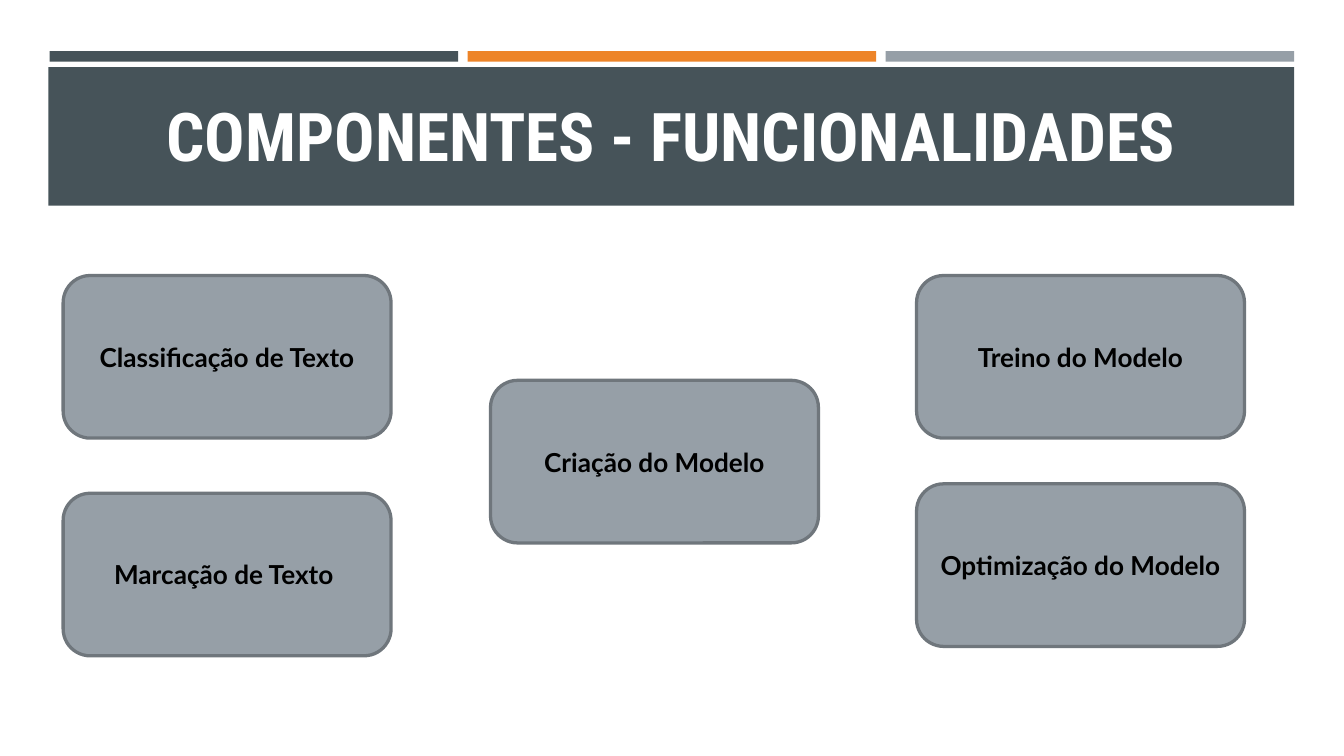
from pptx import Presentation
from pptx.dml.color import RGBColor
from pptx.enum.shapes import MSO_SHAPE
from pptx.enum.text import MSO_ANCHOR, PP_ALIGN
from pptx.util import Inches, Pt

SLATE, ORANGE, GREY = "465359", "ED8428", "969FA7"
OUTLINE, BLACK, WHITE = "6F767C", "000000", "FFFFFF"

BAR_LEFT, BAR_STEP, BAR_WIDTH = 0.37, 3.11, 3.04
BOX_WIDTH, BOX_HEIGHT = 2.44, 1.21
LEFT_COLUMN, MIDDLE_COLUMN, RIGHT_COLUMN = 0.47, 3.65, 6.82

COMPONENTS = [
    ("Classificação de Texto", LEFT_COLUMN, 2.05),
    ("Marcação de Texto ", LEFT_COLUMN, 3.67),
    ("Treino do Modelo", RIGHT_COLUMN, 2.05),
    ("Criação do Modelo", MIDDLE_COLUMN, 2.83),
    ("Optimização do Modelo", RIGHT_COLUMN, 3.6),
]


def color(value):
    return RGBColor.from_string(value)


def set_text(shape, text, font_name, size, font_color):
    """Write one bold line, centred both ways in the shape."""
    frame = shape.text_frame
    margins = dict.fromkeys(
        ("margin_left", "margin_top", "margin_right", "margin_bottom"), Inches(0.1))
    frame_format = {"word_wrap": True, "vertical_anchor": MSO_ANCHOR.MIDDLE, **margins}
    for name, value in frame_format.items():
        setattr(frame, name, value)
    paragraph = frame.paragraphs[0]
    paragraph.alignment = PP_ALIGN.CENTER
    run = paragraph.add_run()
    run.text = text
    for name, value in {"name": font_name, "size": Pt(size), "bold": True}.items():
        setattr(run.font, name, value)
    run.font.color.rgb = color(font_color)


def add_filled_shape(slide, kind, left, top, width, height, fill):
    shape = slide.shapes.add_shape(
        kind, Inches(left), Inches(top), Inches(width), Inches(height))
    shape.shadow.inherit = False
    shape.fill.solid()
    shape.fill.fore_color.rgb = color(fill)
    shape.line.fill.background()
    return shape


def add_header(slide, title):
    for index, fill in enumerate((SLATE, ORANGE, GREY)):
        add_filled_shape(slide, MSO_SHAPE.RECTANGLE, BAR_LEFT + index * BAR_STEP,
                         0.38, BAR_WIDTH, 0.08, fill)
    add_filled_shape(slide, MSO_SHAPE.RECTANGLE, 0.36, 0.5, 9.27, 1.03, SLATE)
    title_box = slide.shapes.add_textbox(
        Inches(0.47), Inches(0.6), Inches(9.05), Inches(0.81))
    set_text(title_box, title, "Roboto Condensed", 36, WHITE)


def add_component(slide, text, left, top):
    box = add_filled_shape(slide, MSO_SHAPE.ROUNDED_RECTANGLE, left, top,
                           BOX_WIDTH, BOX_HEIGHT, GREY)
    box.line.color.rgb = color(OUTLINE)
    box.line.width = Pt(1.75)
    set_text(box, text, "Lato", 14, BLACK)


def main():
    presentation = Presentation()
    presentation.slide_width = Inches(10)
    presentation.slide_height = presentation.slide_width * 9 // 16
    slide = presentation.slides.add_slide(presentation.slide_layouts[6])
    add_header(slide, "COMPONENTES - FUNCIONALIDADES")
    for text, left, top in COMPONENTS:
        add_component(slide, text, left, top)
    presentation.save("out.pptx")


if __name__ == "__main__":
    main()
